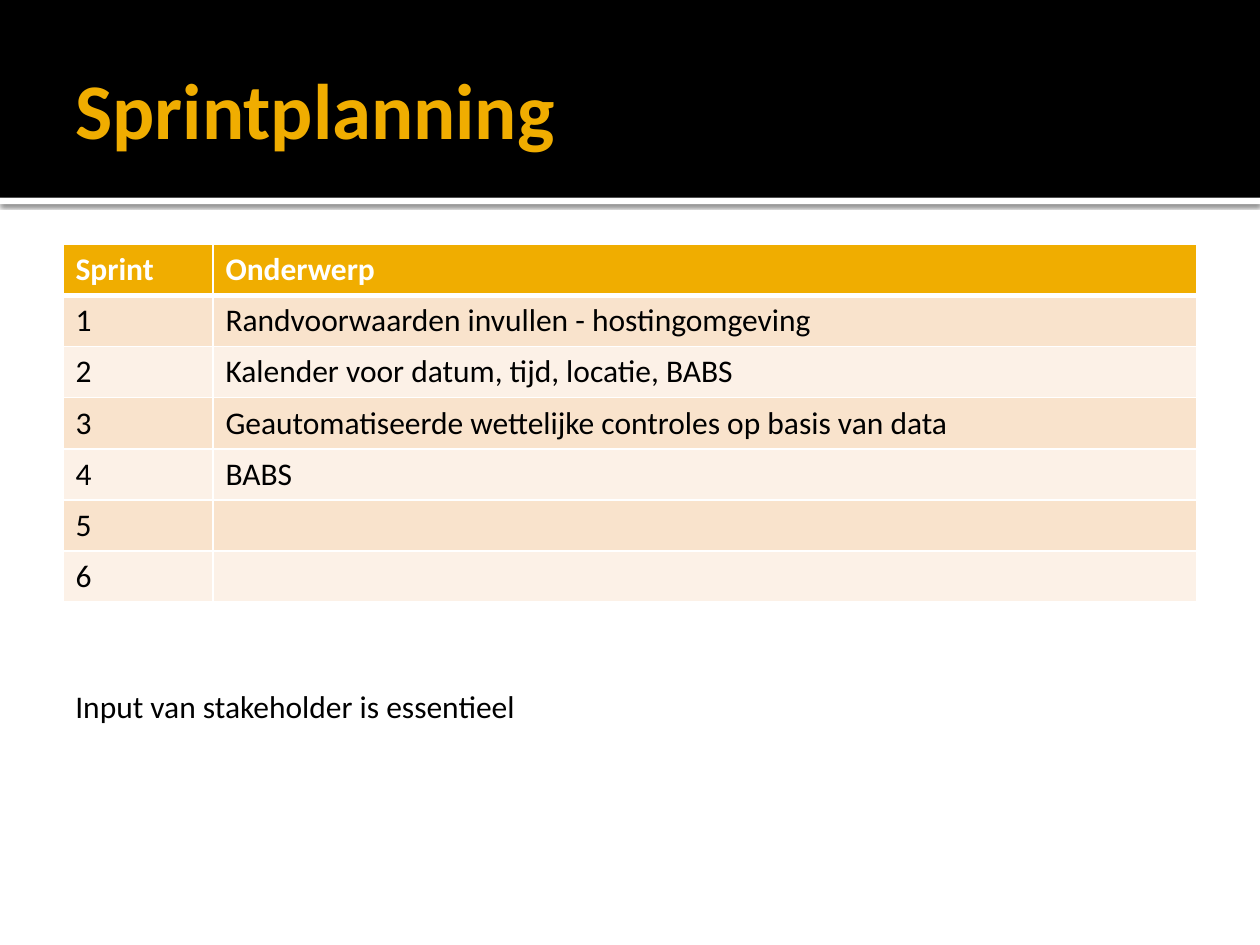
from dataclasses import dataclass

from lxml import etree
from pptx import Presentation
from pptx.dml.color import RGBColor
from pptx.enum.shapes import MSO_SHAPE
from pptx.enum.text import MSO_ANCHOR
from pptx.oxml import parse_xml
from pptx.oxml.ns import nsdecls, qn
from pptx.util import Inches, Pt

RECTANGLE = MSO_SHAPE.RECTANGLE
MIDDLE = MSO_ANCHOR.MIDDLE


@dataclass(frozen=True)
class Theme:
    font: str = "Calibri"
    title_size: int = 45
    body_size: int = 18
    black: str = "000000"
    white: str = "FFFFFF"
    accent: str = "F0AD00"
    odd_row: str = "F9E3CC"
    even_row: str = "FCF1E7"


THEME = Theme()


def write(frame, text, size, color, bold=False):
    frame.text = text
    font = frame.paragraphs[0].font
    for run in frame.paragraphs[0].runs:
        font = run.font
    font.name, font.size, font.bold = THEME.font, Pt(size), bold
    font.color.rgb = RGBColor.from_string(color)


def add_borders(cell, bottom_width):
    """Give a cell white borders, 1 pt except at the bottom."""
    properties = cell._tc.get_or_add_tcPr()
    widths = {"lnL": 1, "lnR": 1, "lnT": 1, "lnB": bottom_width}
    for position, (side, width) in enumerate(widths.items()):
        line = etree.Element(qn(f"a:{side}"), w=str(Pt(width)))
        fill = etree.SubElement(line, qn("a:solidFill"))
        etree.SubElement(fill, qn("a:srgbClr"), val=THEME.white)
        properties.insert(position, line)


prs = Presentation()
prs.slide_width, prs.slide_height = Inches(10), Inches(7.5)
slide = prs.slides.add_slide(prs.slide_layouts[6])

# Header band with a shadowed white strip below it
header_height = 1.57
for top, height, color in ((header_height, 0.05, THEME.white), (0, header_height, THEME.black)):
    band = slide.shapes.add_shape(RECTANGLE, 0, Inches(top), prs.slide_width, Inches(height))
    band.shadow.inherit = False
    band.fill.solid()
    band.fill.fore_color.rgb = RGBColor.from_string(color)
    band.line.fill.background()
    if color == THEME.white:
        band._element.spPr.find(qn("a:effectLst")).append(parse_xml(
            f'<a:outerShdw {nsdecls("a")} blurRad="{Pt(2.5)}" dist="{Pt(0.8)}" dir="5400000"'
            ' algn="tl" rotWithShape="0">'
            f'<a:srgbClr val="{THEME.black}"><a:alpha val="60000"/></a:srgbClr></a:outerShdw>'))

title = slide.shapes.add_textbox(Inches(0.5), Inches(0.17), Inches(9), Inches(1.37)).text_frame
title.word_wrap = True
title.vertical_anchor = MIDDLE
title.margin_right = Inches(0.05)
write(title, "Sprintplanning", THEME.title_size, THEME.accent, bold=True)

# Sprint table
sprints = [
    ("Sprint", "Onderwerp"),
    ("1", "Randvoorwaarden invullen - hostingomgeving"),
    ("2", "Kalender voor datum, tijd, locatie, BABS"),
    ("3", "Geautomatiseerde wettelijke controles op basis van data"),
    ("4", "BABS"),
    ("5", ""),
    ("6", ""),
]
row_height = 2.84 / len(sprints)
table = slide.shapes.add_table(
    len(sprints), 2, Inches(0.5), Inches(1.94), Inches(9), Inches(2.84)).table
for column, width in zip(table.columns, (1.19, 7.81)):
    column.width = Inches(width)
for index, sprint in enumerate(sprints):
    table.rows[index].height = Inches(row_height)
    is_header = index == 0
    row_fill = THEME.accent if is_header else (THEME.even_row, THEME.odd_row)[index % 2]
    text_color = THEME.white if is_header else THEME.black
    for cell, text in zip(table.rows[index].cells, sprint):
        cell.fill.solid()
        cell.fill.fore_color.rgb = RGBColor.from_string(row_fill)
        write(cell.text_frame, text, THEME.body_size, text_color, bold=is_header)
        add_borders(cell, bottom_width=3 if is_header else 1)

remark = slide.shapes.add_textbox(Inches(0.5), Inches(5.4), Inches(7.26), Inches(0.4)).text_frame
remark.word_wrap = True
write(remark, "Input van stakeholder is essentieel", THEME.body_size, THEME.black)

prs.save("out.pptx")
